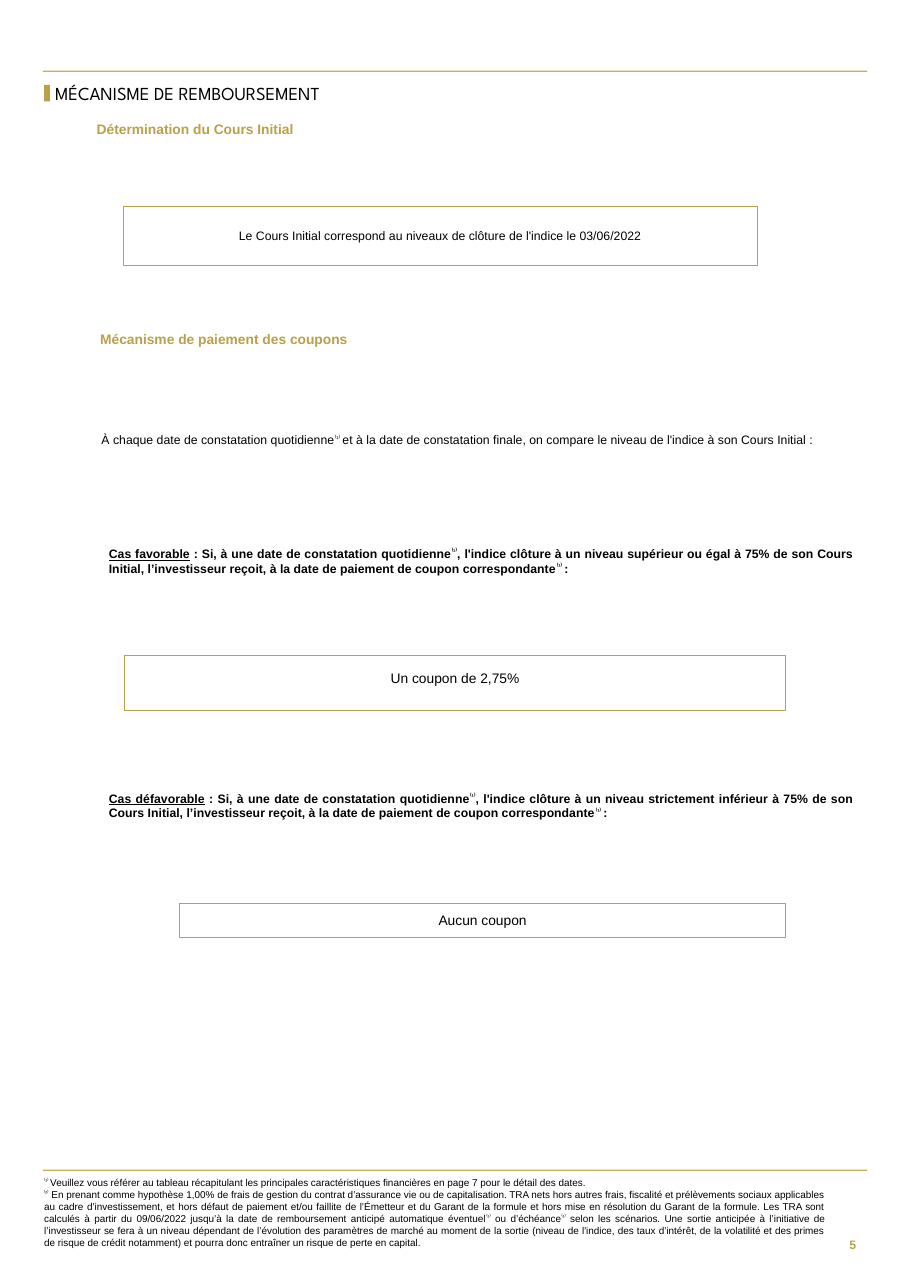
from pptx import Presentation
from pptx.dml.color import RGBColor
from pptx.enum.shapes import MSO_SHAPE as Shape
from pptx.enum.text import MSO_ANCHOR as Anchor, MSO_AUTO_SIZE as AutoSize, PP_ALIGN as Align
from pptx.util import Cm, Pt

GOLD = "B9A049"
PALE_GOLD = "C5AF5C"
BLACK = "000000"


def color(value):
    return RGBColor.from_string(value)


def write(shape, paragraphs, size, ink=BLACK, bold=False, align=Align.JUSTIFY, anchor=Anchor.TOP, font="Arial"):
    frame = shape.text_frame
    frame.word_wrap = True
    frame.auto_size = AutoSize.NONE
    frame.vertical_anchor = anchor
    frame.margin_left = frame.margin_right = frame.margin_top = frame.margin_bottom = 0
    frame.text = "\n".join(segments[0] for segments in paragraphs)
    for paragraph, segments in zip(frame.paragraphs, paragraphs):
        paragraph.alignment = align
        for segment in segments[1:]:
            paragraph.add_run().text = segment
        for run in paragraph.runs:
            run.font.name = font
            run.font.size = Pt(size)
            run.font.bold = bold
            run.font.color.rgb = color(ink)
            if run.text.startswith("⁽"):
                run.font._element.set("baseline", "30000")


presentation = Presentation()
presentation.slide_width = Cm(21)
presentation.slide_height = Cm(29.7)
slide = presentation.slides.add_slide(presentation.slide_layouts[5])
shapes = slide.shapes

title = shapes.title
title.left, title.top, title.width, title.height = Cm(1.27), Cm(1.85), Cm(10.69), Cm(0.64)
write(title, [["MÉCANISME DE REMBOURSEMENT"]], 12, align=Align.LEFT, anchor=Anchor.MIDDLE, font="League Spartan")
title.text_frame.paragraphs[0].line_spacing = 0.9

bars = [
    (0.99, 1.63, 19, 0.03, PALE_GOLD),
    (0.99, 26.97, 19, 0.03, PALE_GOLD),
    (1.02, 1.96, 0.13, 0.38, GOLD),
]
for left, top, width, height, fill in bars:
    bar = shapes.add_shape(Shape.RECTANGLE, Cm(left), Cm(top), Cm(width), Cm(height))
    bar.shadow.inherit = False
    bar.fill.solid()
    bar.fill.fore_color.rgb = color(fill)
    bar.line.fill.background()

headings = [
    (2.23, 2.79, "Détermination du Cours Initial"),
    (2.31, 7.62, "Mécanisme de paiement des coupons"),
]
for left, top, text in headings:
    heading = shapes.add_textbox(Cm(left), Cm(top), Cm(16.5), Cm(0.45))
    write(heading, [[text]], 9, GOLD, bold=True, align=Align.LEFT)

introduction = shapes.add_textbox(Cm(2.34), Cm(9.98), Cm(16.69), Cm(0.33))
write(introduction, [[
    "À chaque date de constatation quotidienne",
    "⁽¹⁾ ",
    "et à la date de constatation finale, on compare le niveau de l'indice à son Cours Initial :",
]], 8)

cases = [
    (12.6, "Cas favorable", "supérieur ou égal"),
    (18.24, "Cas défavorable", "strictement inférieur"),
]
for top, name, level in cases:
    case = shapes.add_textbox(Cm(2.51), Cm(top), Cm(17.17), Cm(0.69))
    write(case, [[
        name,
        " : Si, à une date de constatation quotidienne",
        "⁽¹⁾",
        f", l'indice clôture à un niveau {level} à 75% de son Cours Initial, "
        "l’investisseur reçoit, à la date de paiement de coupon correspondante",
        "⁽¹⁾ ",
        ":",
    ]], 8, bold=True)
    case.text_frame.paragraphs[0].runs[0].font.underline = True

outcomes = [
    (2.84, 4.75, 14.63, 1.37, 0.5, 8, 0, "Le Cours Initial correspond au niveaux de clôture de l'indice le 03/06/2022"),
    (2.87, 15.11, 15.24, 1.27, 0.75, 9, 0.2, "Un coupon de 2,75%"),
    (4.14, 20.83, 13.97, 0.79, 0.75, 9, 0, "Aucun coupon"),
]
for left, top, width, height, line_width, size, bottom_margin, text in outcomes:
    outcome = shapes.add_shape(Shape.RECTANGLE, Cm(left), Cm(top), Cm(width), Cm(height))
    outcome.shadow.inherit = False
    outcome.fill.solid()
    outcome.fill.fore_color.rgb = color("FFFFFF")
    outcome.line.color.rgb = color(GOLD)
    outcome.line.width = Pt(line_width)
    write(outcome, [[text]], size, align=Align.CENTER, anchor=Anchor.MIDDLE)
    outcome.text_frame.margin_bottom = Cm(bottom_margin)

footnotes = shapes.add_textbox(Cm(1.02), Cm(27.13), Cm(18.01), Cm(1.68))
write(footnotes, [
    [
        "⁽¹⁾ ",
        "Veuillez vous référer au tableau récapitulant les principales caractéristiques financières "
        "en page 7 pour le détail des dates.",
    ],
    [
        "⁽²⁾",
        " En prenant comme hypothèse 1,00% de frais de gestion du contrat d’assurance vie ou de "
        "capitalisation. TRA nets hors autres frais, fiscalité et prélèvements sociaux applicables au cadre "
        "d’investissement, et hors défaut de paiement et/ou faillite de l’Émetteur et du Garant de la "
        "formule et hors mise en résolution du Garant de la formule. Les TRA sont calculés à partir du "
        "09/06/2022 jusqu’à la date de remboursement anticipé automatique éventuel",
        "⁽¹⁾",
        " ou d’échéance",
        "⁽¹⁾",
        " selon les scénarios. Une sortie anticipée à l’initiative de l’investisseur se fera à un niveau "
        "dépendant de l’évolution des paramètres de marché au moment de la sortie (niveau de l'indice, des "
        "taux d’intérêt, de la volatilité et des primes de risque de crédit notamment) et pourra donc "
        "entraîner un risque de perte en capital.",
    ],
], 6.5)

page_number = shapes.add_textbox(Cm(19), Cm(28.17), Cm(0.74), Cm(1.07))
write(page_number, [["5"]], 8, GOLD, bold=True, align=Align.RIGHT, anchor=Anchor.MIDDLE)

presentation.save("out.pptx")
